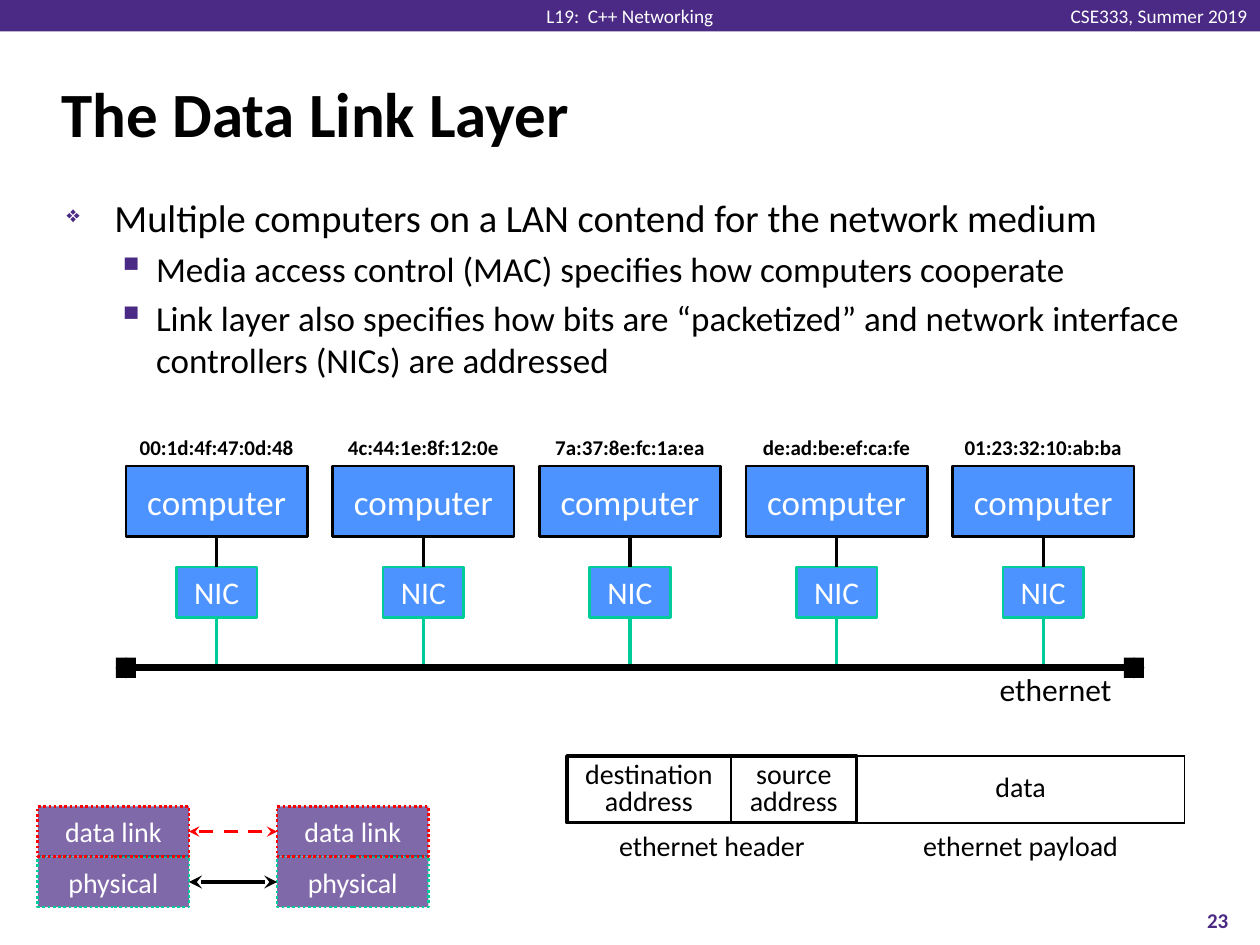
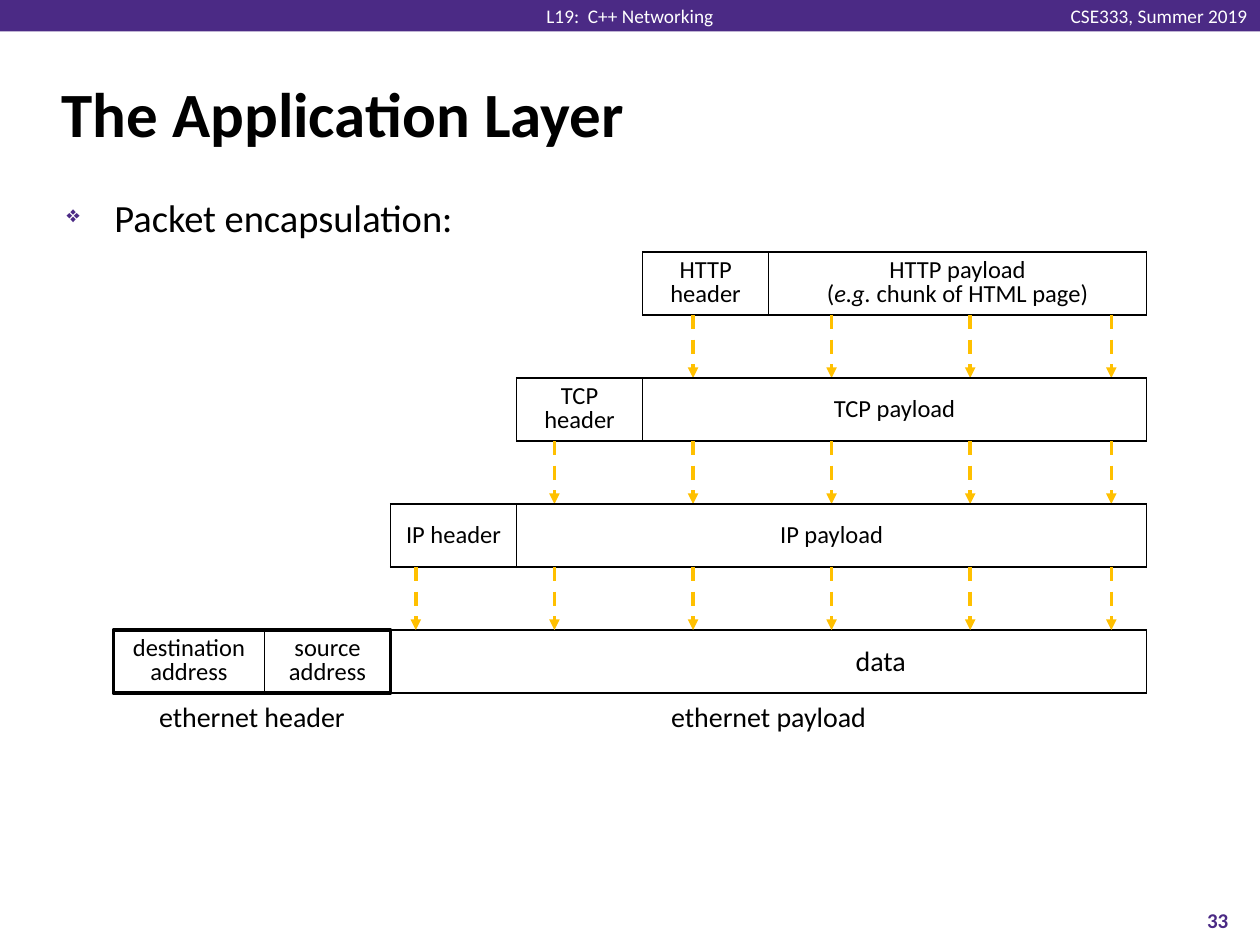
from copy import deepcopy
from dataclasses import dataclass
from typing import Any, NamedTuple, Optional

from lxml import etree
from pptx import Presentation, util as u
from pptx.dml.color import RGBColor
from pptx.enum import dml, shapes, text
from pptx.oxml.ns import qn

SCALE = 9144  # EMU in one px, 100 px to the inch
FACE = "Calibri"
PURPLE, BLUE, GREEN = "4B2A85", "0066FF", "00CC99"
RED, GOLD, BLACK, WHITE = "FF0000", "FFC000", "000000", "FFFFFF"
LEFT, MID, RIGHT = text.PP_ALIGN.LEFT, text.PP_ALIGN.CENTER, text.PP_ALIGN.RIGHT
DOT, DASH = dml.MSO_LINE.ROUND_DOT, dml.MSO_LINE.DASH
TOP, WEST, BASE, EAST = range(4)


class Area(NamedTuple):
    x: int
    y: int
    w: int
    h: int


class Type(NamedTuple):
    size: int
    color: str = BLACK
    bold: bool = False
    align: Any = MID


class Pen(NamedTuple):
    color: str
    width: float
    dash: Any = None
    head: str = ""
    tail: str = ""


class Point(NamedTuple):
    words: str
    size: int
    mark: str
    scale: int
    left: int
    hang: int


@dataclass
class Cell:
    words: str
    size: int = 14
    tight: bool = True
    pad: int = 10
    span: int = 1


def px(n: int) -> u.Emu:
    return u.Emu(n * SCALE)


def rgb(code: str) -> RGBColor:
    return RGBColor.from_string(code)


def put(item: Any, form: dict[str, Any]) -> None:
    for key, val in form.items():
        setattr(item, key, val)


def add(node: Any, tag: str, **form: str) -> Any:
    return etree.SubElement(node, qn(tag), form)


def write(para: Any, words: str, kind: Type) -> None:
    """Fill a paragraph; pieces between asterisks are italic."""
    para.alignment = kind.align
    for i, piece in enumerate(words.split("*")):
        for j, line in enumerate(piece.split("\n")):
            if j:
                para.add_line_break()
            run = para.add_run()
            run.text = line
            put(run.font, dict(name=FACE, size=u.Pt(kind.size),
                               bold=kind.bold, italic=i % 2 == 1))
            run.font.color.rgb = rgb(kind.color)
    for gap in para._p.findall(qn("a:br")):
        gap.insert(0, deepcopy(run._r.rPr))


def fit(frame: Any, side: int = 10, edge: int = 5, wrap: bool = True,
        anchor: Any = text.MSO_ANCHOR.MIDDLE) -> None:
    put(frame, dict(margin_left=px(side), margin_right=px(side),
                    margin_top=px(edge), margin_bottom=px(edge),
                    word_wrap=wrap, vertical_anchor=anchor))


def label(slide: Any, area: Area, words: str, kind: Type, **form: Any) -> None:
    frame = slide.shapes.add_textbox(*map(px, area)).text_frame
    fit(frame, **form)
    write(frame.paragraphs[0], words, kind)


def draw(line: Any, pen: Pen) -> None:
    line.color.rgb = rgb(pen.color)
    line.width = u.Pt(pen.width)
    if pen.dash:
        line.dash_style = pen.dash


def rect(slide: Any, area: Area, fill: str = "", pen: Optional[Pen] = None,
         alpha: int = 100) -> Any:
    box = slide.shapes.add_shape(shapes.MSO_SHAPE.RECTANGLE, *map(px, area))
    box.shadow.inherit = False
    if fill:
        box.fill.solid()
        box.fill.fore_color.rgb = rgb(fill)
        if alpha < 100:
            tint = box._element.spPr.find(".//" + qn("a:srgbClr"))
            add(tint, "a:alpha", val=str(alpha * 1000))
    else:
        box.fill.background()
    if pen:
        draw(box.line, pen)
    else:
        box.line.fill.background()
    return box


def block(slide: Any, area: Area, words: str, size: int, fill: str, pen: Pen,
          side: int = 10) -> Any:
    """Draw a see-through box with white text."""
    box = rect(slide, area, fill, pen, 70)
    fit(box.text_frame, side)
    write(box.text_frame.paragraphs[0], words, Type(size, WHITE))
    return box


def wire(slide: Any, start: tuple[int, int], stop: tuple[int, int], pen: Pen) -> Any:
    link = slide.shapes.add_connector(
        shapes.MSO_CONNECTOR.STRAIGHT, *map(px, start + stop))
    draw(link.line, pen)
    ends = link.line._get_or_add_ln()
    for tag, kind in (("a:headEnd", pen.head), ("a:tailEnd", pen.tail)):
        if kind:
            add(ends, tag, type=kind)
    add(link._element.spPr, "a:effectLst")
    return link


def join(slide: Any, one: Any, exit: int, two: Any, entry: int, pen: Pen) -> None:
    link = wire(slide, (0, 0), (0, 0), pen)
    link.begin_connect(one, exit)
    link.end_connect(two, entry)


def edge(cell: Any, sides: str) -> None:
    """Rule the named sides of a cell and clear the others."""
    for i, side in enumerate("LRTB"):
        line = etree.Element(qn("a:ln" + side), w="12700")
        if side in sides:
            add(add(line, "a:solidFill"), "a:srgbClr", val=BLACK)
        else:
            add(line, "a:noFill")
        cell._tc.get_or_add_tcPr().insert(i, line)


def table(slide: Any, x: int, y: int, cols: list[int], highs: list[int],
          rows: list[list[Cell]]) -> None:
    """Draw a ruled first row; a second row holds open captions."""
    area = Area(x, y, sum(cols), sum(highs))
    grid = slide.shapes.add_table(len(rows), len(cols), *map(px, area)).table
    put(grid, dict(first_row=False, horz_banding=False))
    for col, w in zip(grid.columns, cols):
        col.width = px(w)
    for r, (row, h) in enumerate(zip(rows, highs)):
        grid.rows[r].height = px(h)
        for c in range(len(cols)):
            grid.cell(r, c).fill.background()
            edge(grid.cell(r, c), "T" if r else "LRTB")
        c = 0
        for item in row:
            cell = grid.cell(r, c)
            if item.span > 1:
                cell.merge(grid.cell(r, c + item.span - 1))
            put(cell, dict(vertical_anchor=text.MSO_ANCHOR.MIDDLE,
                           margin_left=px(item.pad)))
            para = cell.text_frame.paragraphs[0]
            para.line_spacing = 0.8 if item.tight else 1.0
            write(para, item.words, Type(item.size))
            c += item.span


def frame(slide: Any, x: int, y: int, cols: list[int], highs: list[int],
          size: int, data: Cell) -> None:
    """Draw an ethernet frame with its header outlined."""
    heads = [Cell("destination\naddress", size), Cell("source\naddress", size)]
    notes = [Cell("ethernet header", 16, span=2), Cell("ethernet payload", 16)]
    table(slide, x, y, cols, highs, [heads + [data], notes])
    rect(slide, Area(x, y, sum(cols[:2]), highs[0]), pen=Pen(BLACK, 2))


def main_point(words: str) -> Point:
    return Point(words, 22, "❖", 60, 38, 38)


def sub_point(words: str) -> Point:
    return Point(words, 20, "▪", 110, 71, 31)


def body(slide: Any, high: int, points: list[Point]) -> None:
    box = slide.shapes.add_textbox(*map(px, Area(43, 149, 915, high)))
    fit(box.text_frame, anchor=text.MSO_ANCHOR.TOP)
    for i, point in enumerate(points):
        para = box.text_frame.add_paragraph() if i else box.text_frame.paragraphs[0]
        para.space_before = u.Pt(point.size / 5)
        form = para._p.get_or_add_pPr()
        form.set("marL", str(px(point.left)))
        form.set("indent", str(-px(point.hang)))
        add(add(form, "a:buClr"), "a:srgbClr", val=PURPLE)
        add(form, "a:buSzPct", val=str(point.scale * 1000))
        add(form, "a:buChar", char=point.mark)
        write(para, point.words, Type(point.size, align=LEFT))


def page(deck: Any, title: str, number: int) -> Any:
    """Add a slide with its band, title and number."""
    slide = deck.slides.add_slide(deck.slide_layouts[6])
    rect(slide, Area(0, 0, 1000, 25), PURPLE)
    for area, words, align in (
            (Area(838, 3, 162, 19), "CSE333, Summer 2019", RIGHT),
            (Area(423, 3, 154, 19), "L19:  C++ Networking", MID)):
        label(slide, area, words, Type(11, WHITE, align=align), edge=0, wrap=False)
    label(slide, Area(39, 48, 919, 83), title, Type(36, bold=True, align=LEFT))
    label(slide, Area(933, 710, 67, 40), str(number), Type(12, PURPLE, True))
    return slide


def link_page(deck: Any) -> None:
    slide = page(deck, "The Data Link Layer", 23)
    body(slide, 200, [
        main_point("Multiple computers on a LAN contend for the network medium"),
        sub_point("Media access control (MAC) specifies how computers cooperate"),
        sub_point("Link layer also specifies how bits are “packetized” and network "
                  "interface controllers (NICs) are addressed")])

    layers = (("physical", 680, GREEN, Pen(BLACK, 2.5, None, "stealth", "stealth")),
              ("data link", 640, RED, Pen(RED, 2, DASH, "stealth", "stealth")))
    for name, y, color, pen in layers:
        one, two = (block(slide, Area(x, y, 120, 40), name, 16, PURPLE,
                          Pen(color, 1.5, DOT), 0) for x in (30, 220))
        join(slide, one, EAST, two, WEST, pen)

    bus = 530
    hosts = ("00:1d:4f:47:0d:48", "4c:44:1e:8f:12:0e", "7a:37:8e:fc:1a:ea",
             "de:ad:be:ef:ca:fe", "01:23:32:10:ab:ba")
    for i, mac in enumerate(hosts):
        x = 100 + 164 * i
        host = block(slide, Area(x, 370, 144, 56), "computer", 20, BLUE,
                     Pen(BLACK, 1.5))
        nic = block(slide, Area(x + 40, 450, 64, 40), "NIC", 18, BLUE,
                    Pen(GREEN, 1.5))
        join(slide, host, BASE, nic, TOP, Pen(BLACK, 2))
        drop = wire(slide, (x + 72, 490), (x + 72, bus), Pen(GREEN, 2))
        drop.begin_connect(nic, BASE)
        label(slide, Area(x, 340, 144, 30), mac, Type(12, bold=True), side=0,
              anchor=text.MSO_ANCHOR.TOP)
    wire(slide, (100, bus), (900, bus), Pen(BLACK, 4, None, "diamond", "diamond"))
    for x in (900, 100):
        rect(slide, Area(x - 8, bus - 8, 16, 16), BLACK)
    label(slide, Area(671, 527, 221, 40), "ethernet", Type(18, align=RIGHT),
          anchor=text.MSO_ANCHOR.TOP)
    frame(slide, 450, 600, [130, 100, 260], [53, 41], 16, Cell("data", 16))


def app_page(deck: Any) -> None:
    slide = page(deck, "The Application Layer", 33)
    body(slide, 100, [main_point("Packet encapsulation:")])
    frame(slide, 90, 500, [120, 100, 600], [50, 41], 14,
          Cell("data", 16, False, 188))
    packets = ((Cell("HTTP header"),
                Cell("HTTP payload\n(*e.g.* chunk of HTML page)")),
               (Cell("TCP header"), Cell("TCP payload", tight=False)),
               (Cell("IP header", tight=False), Cell("IP payload", tight=False)))
    lanes = (882, 770, 660, 550, 440, 330)
    for i, cells in enumerate(packets):
        x, y = 510 - 100 * i, 200 + 100 * i
        table(slide, x, y, [100, 810 - x], [50], [list(cells)])
        for lane in lanes[:4 + i]:
            wire(slide, (lane, y + 50), (lane, y + 100),
                 Pen(GOLD, 2, DASH, tail="triangle"))


def main() -> None:
    deck = Presentation()
    put(deck, dict(slide_width=px(1000), slide_height=px(750)))
    link_page(deck)
    app_page(deck)
    deck.save("out.pptx")


if __name__ == "__main__":
    main()
